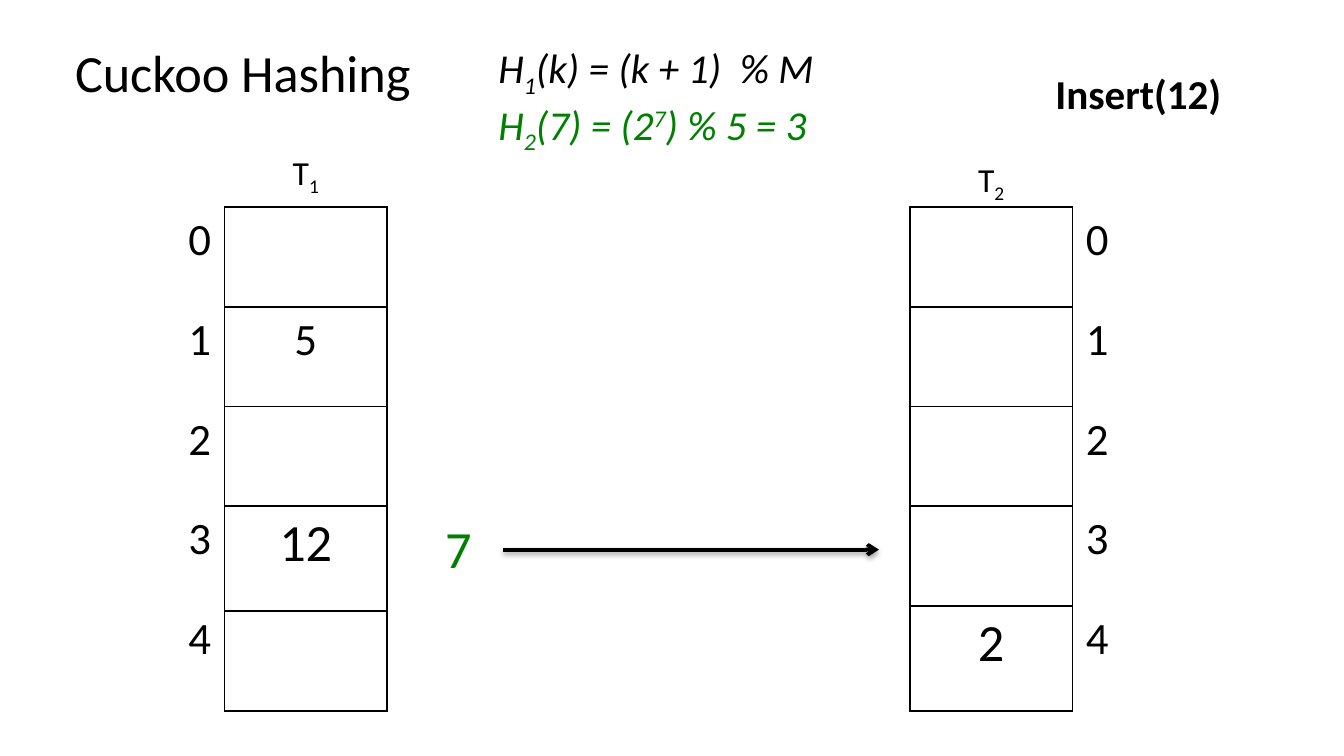
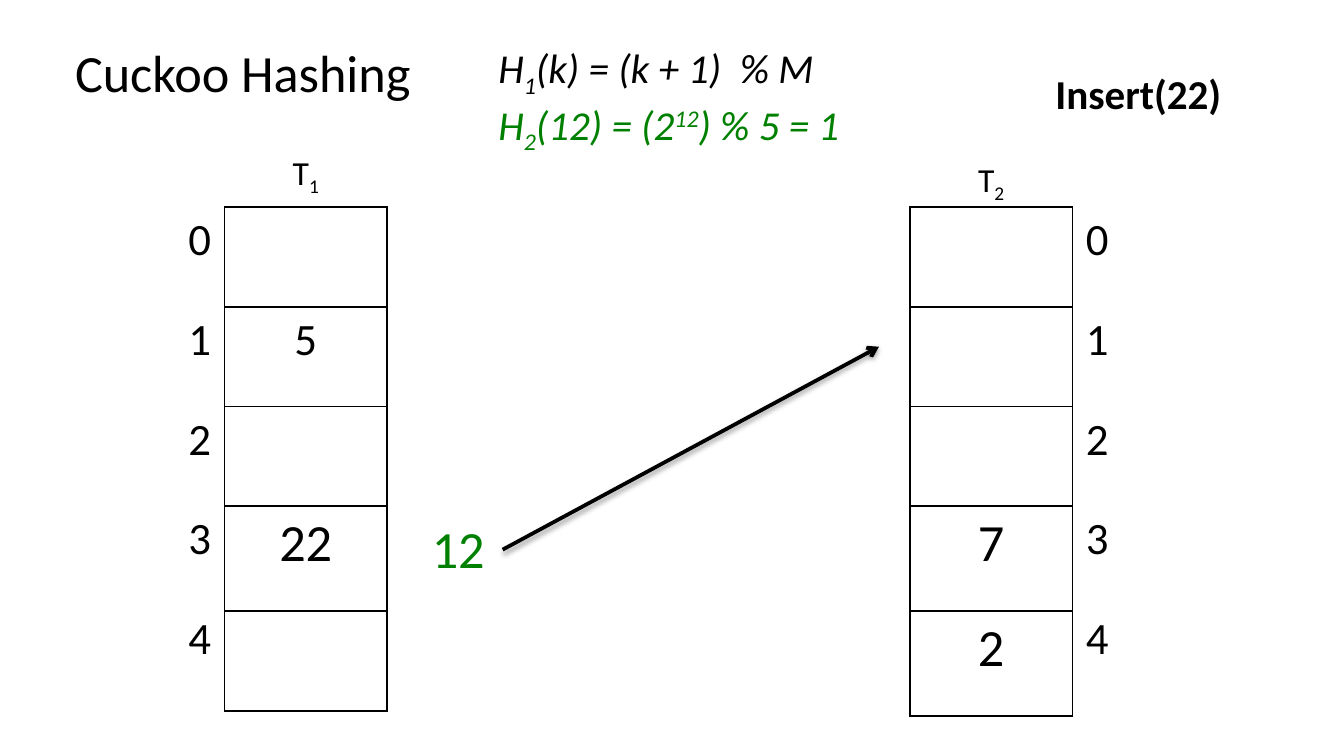
"""Builds two slides that step through insertions into a cuckoo hash table."""
from dataclasses import dataclass

from lxml import etree
from pptx import Presentation
from pptx.dml.color import RGBColor
from pptx.enum.shapes import MSO_CONNECTOR
from pptx.enum.text import MSO_AUTO_SIZE, PP_ALIGN
from pptx.oxml import parse_xml
from pptx.oxml.ns import nsdecls, qn
from pptx.util import Inches, Pt

LEFT, CENTER, RIGHT = PP_ALIGN.LEFT, PP_ALIGN.CENTER, PP_ALIGN.RIGHT
STRAIGHT = MSO_CONNECTOR.STRAIGHT
GROW = MSO_AUTO_SIZE.SHAPE_TO_FIT_TEXT
SUB, SUP = -25, 30


@dataclass(frozen=True)
class Theme:
    """Holds the font, colours and sizes in points."""
    font: str = "Calibri"
    ink: str = "000000"
    accent: str = "008000"
    title: int = 28
    key: int = 28
    index: int = 24
    formula: int = 22
    caption: int = 18
    border: int = 1
    arrow: int = 2


THEME = Theme()
TABLE_TOP, TABLE_WIDTH, ROW, TALL_ROW = 27.38, 12.1, 13.2, 13.87
T1_LEFT, T2_LEFT = 16.7, 67.7
SLOTS = 5


def write(p, text, size, color=THEME.ink, bold=False, italic=False, base=0):
    """Adds one formatted run to a paragraph."""
    r = p.add_run()
    r.text = text
    r.font.name = THEME.font
    r.font.size = Pt(size)
    r.font.color.rgb = RGBColor.from_string(color)
    r.font.bold = bold
    r.font.italic = italic
    if base:
        r.font._element.set("baseline", str(base * 1000))


class Deck:
    """Draws on the current slide, with lengths in percent of its size."""

    def __init__(self):
        """Starts a widescreen presentation."""
        self.prs = Presentation()
        self.prs.slide_width = Inches(10)
        self.prs.slide_height = Inches(5.625)
        self.s = None

    def x(self, share):
        """Converts a share of the width."""
        return round(self.prs.slide_width * share / 100)

    def y(self, share):
        """Converts a share of the height."""
        return round(self.prs.slide_height * share / 100)

    def box(self, left, top, width, height):
        """Converts a rectangle."""
        return self.x(left), self.y(top), self.x(width), self.y(height)

    def slide(self):
        """Adds a blank slide and makes it current."""
        self.s = self.prs.slides.add_slide(self.prs.slide_layouts[6])

    def text(self, at, *lines, align=LEFT, **fmt):
        """Adds a text box whose lines are lists of text and format pairs."""
        sp = self.s.shapes.add_textbox(*self.box(*at))
        tf = sp.text_frame
        tf.word_wrap = True
        tf.auto_size = GROW
        for i, line in enumerate(lines):
            p = tf.add_paragraph() if i else tf.paragraphs[0]
            p.alignment = align
            for text, extra in line:
                write(p, text, **{**fmt, **extra})

    def border(self, cell, visible):
        """Sets the four borders of a cell."""
        tcPr = cell._tc.get_or_add_tcPr()
        for side in "LRTB":
            ln = etree.SubElement(tcPr, qn(f"a:ln{side}"), w=str(Pt(THEME.border)))
            if visible:
                fill = etree.SubElement(ln, qn("a:solidFill"))
                etree.SubElement(fill, qn("a:srgbClr"), val=THEME.ink)
            else:
                etree.SubElement(ln, qn("a:noFill"))

    def column(self, left, values, align=CENTER, bordered=True):
        """Adds a one-column table from a dict of row to text and size."""
        heights = [TALL_ROW if values.get(i, ("", 0))[1] == THEME.key else ROW
                   for i in range(SLOTS)]
        at = self.box(left, TABLE_TOP, TABLE_WIDTH, sum(heights))
        table = self.s.shapes.add_table(SLOTS, 1, *at).table
        table.first_row = table.horz_banding = False
        for i, height in enumerate(heights):
            table.rows[i].height = self.y(height)
            cell = table.cell(i, 0)
            cell.margin_top = cell.margin_bottom = self.y(0.8)
            self.border(cell, bordered)
            cell.fill.background()
            if i in values:
                p = cell.text_frame.paragraphs[0]
                p.alignment = align
                write(p, *values[i])

    def arrow(self, start, end):
        """Adds an arrow with a soft shadow."""
        points = self.x(start[0]), self.y(start[1]), self.x(end[0]), self.y(end[1])
        line = self.s.shapes.add_connector(STRAIGHT, *points)
        line.line.color.rgb = RGBColor.from_string(THEME.ink)
        line.line.width = Pt(THEME.arrow)
        etree.SubElement(line.line._get_or_add_ln(), qn("a:tailEnd"), type="arrow")
        line._element.spPr.append(parse_xml(
            f'<a:effectLst {nsdecls("a")}><a:outerShdw blurRad="{Pt(3.1)}" '
            f'dist="{Pt(1.6)}" dir="5400000" rotWithShape="0">'
            f'<a:srgbClr val="{THEME.ink}"><a:alpha val="38000"/></a:srgbClr>'
            '</a:outerShdw></a:effectLst>'))

    def step(self, inserted, moved, target, target_y, first, second):
        """Builds a slide on which one key moves to the second table."""
        self.slide()
        green = {"color": THEME.accent}
        self.text((36.1, 4.8, 35, 14.93),
                  [("H", {}), ("1", {"base": SUB}), ("(k) = (k + 1)  % M", {})],
                  [("H", green), ("2", {"base": SUB, **green}),
                   (f"({moved}) = (2", green), (moved, {"base": SUP, **green}),
                   (f") % 5 = {target} ", green)],
                  size=THEME.formula, italic=True)
        self.text((4.6, 4.44, 27.1, 10.13), [("Cuckoo Hashing", {})], size=THEME.title)
        indices = {i: (str(i), THEME.index) for i in range(SLOTS)}
        self.column(T1_LEFT, first)
        self.column(T1_LEFT - TABLE_WIDTH, indices, align=RIGHT, bordered=False)
        self.column(T2_LEFT, second)
        self.column(T2_LEFT + TABLE_WIDTH, indices, align=LEFT, bordered=False)
        for number, left, top in (("1", T1_LEFT, 19.2), ("2", T2_LEFT, 20.09)):
            self.text((left, top, TABLE_WIDTH, 7.11),
                      [("T", {}), (number, {"base": SUB})],
                      align=CENTER, size=THEME.caption)
        self.text((76.5, 8.18, 16.4, 8.36), [(f"Insert({inserted})", {})],
                  align=CENTER, size=THEME.formula, bold=True)
        self.text((28.3, 67.38, 11.6, 10.13), [(moved, green)],
                  align=CENTER, size=THEME.key)
        self.arrow((37.4, 72.71), (65.4, target_y))


def main():
    """Builds both steps and saves the file."""
    deck = Deck()
    five = ("5", THEME.index)
    two = ("2", THEME.key)
    deck.step("12", "7", 3, 72.71, {1: five, 3: ("12", THEME.key)}, {4: two})
    deck.step("22", "12", 1, 45.87, {1: five, 3: ("22", THEME.key)},
              {3: ("7", THEME.key), 4: two})
    deck.prs.save("out.pptx")


main()
